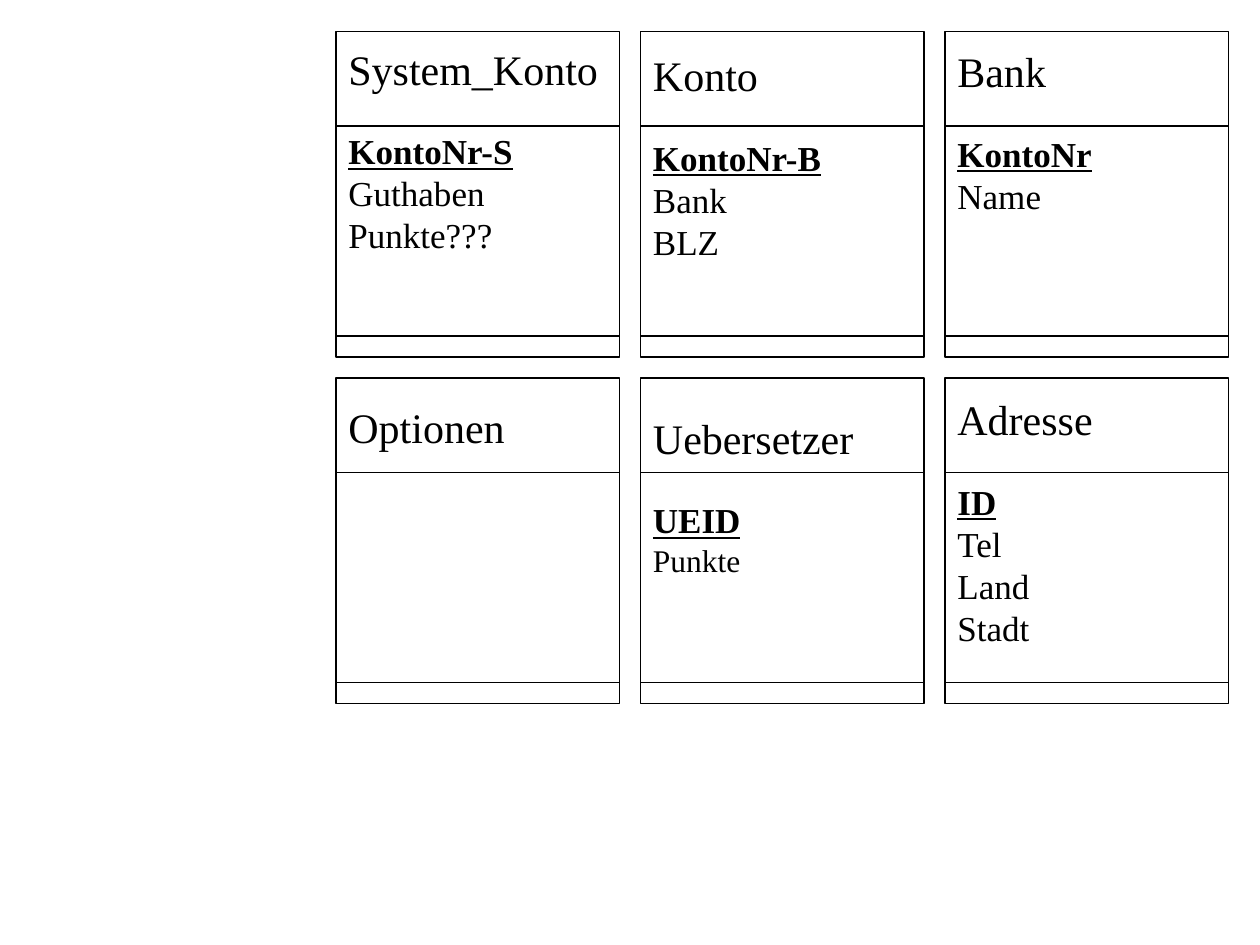
from dataclasses import dataclass

from pptx import Presentation
from pptx.dml.color import RGBColor
from pptx.enum.shapes import MSO_CONNECTOR as Conn, MSO_SHAPE as Geo
from pptx.enum.text import MSO_ANCHOR as Anchor, PP_ALIGN as Align
from pptx.util import Pt
from lxml.etree import SubElement

PX = 9525  # EMU per px, 96 px to the inch
INK, PAPER = "000000", "FFFFFF"
FACE = "Times New Roman"

# Card grid
LEFT, TOP = 256, 24
WIDE, HIGH, GAP = 216, 248, 16
RULES = (72, 232)  # dividers, measured from the card top
KEY_GAP = 20.7     # points between title and key


@dataclass
class Card:
    col: int
    row: int
    inset: int  # px above the title
    title: str
    key: str = ""
    fields: tuple[str, ...] = ()
    size: int = 20


CARDS = [
    Card(0, 0, 9, "System_Konto", "KontoNr-S", ("Guthaben", "Punkte???")),
    Card(1, 0, 14, "Konto", "KontoNr-B", ("Bank", "BLZ")),
    Card(2, 0, 11, "Bank", "KontoNr", ("Name",)),
    Card(0, 1, 18, "Optionen"),
    Card(1, 1, 26, "Uebersetzer", "UEID", ("Punkte",), 18),
    Card(2, 1, 12, "Adresse", "ID", ("Tel", "Land", "Stadt")),
]


def px(num: int) -> int:
    return num * PX


def color(code: str) -> RGBColor:
    return RGBColor.from_string(code)


def pen(line) -> None:
    line.color.rgb = color(INK)
    line.width = Pt(0.75)


def add_run(para, text: str, size: int, key: bool = False) -> None:
    para.alignment = Align.LEFT
    run = para.add_run()
    run.text = text
    font = run.font
    font.name, font.size = FACE, Pt(size)
    font.bold = font.underline = key
    font.color.rgb = color(INK)


def add_rule(slide, left: int, top: int) -> None:
    rule = slide.shapes.add_connector(
        Conn.STRAIGHT, px(left), px(top), px(left + WIDE), px(top))
    pen(rule.line)
    props = rule._element.spPr
    SubElement(props, "{%s}effectLst" % props.nsmap["a"])


def add_card(slide, card: Card) -> None:
    left = LEFT + card.col * (WIDE + GAP)
    top = TOP + card.row * (HIGH + GAP)

    # Frame
    box = slide.shapes.add_shape(
        Geo.RECTANGLE, px(left), px(top), px(WIDE), px(HIGH))
    box.shadow.inherit = False
    box.fill.solid()
    box.fill.fore_color.rgb = color(PAPER)
    pen(box.line)

    # Title, key and fields
    frame = box.text_frame
    frame.word_wrap = True
    frame.vertical_anchor = Anchor.TOP
    frame.margin_top = px(card.inset)
    add_run(frame.paragraphs[0], card.title, 24)
    if card.key:
        para = frame.add_paragraph()
        para.space_before = Pt(KEY_GAP)
        add_run(para, card.key, 20, key=True)
    for name in card.fields:
        add_run(frame.add_paragraph(), name, card.size)

    # Dividers
    for drop in RULES:
        add_rule(slide, left, top + drop)


def main() -> None:
    deck = Presentation()
    deck.slide_width, deck.slide_height = px(960), px(720)
    slide = deck.slides.add_slide(deck.slide_layouts[6])
    for card in CARDS:
        add_card(slide, card)
    deck.save("out.pptx")


if __name__ == "__main__":
    main()
